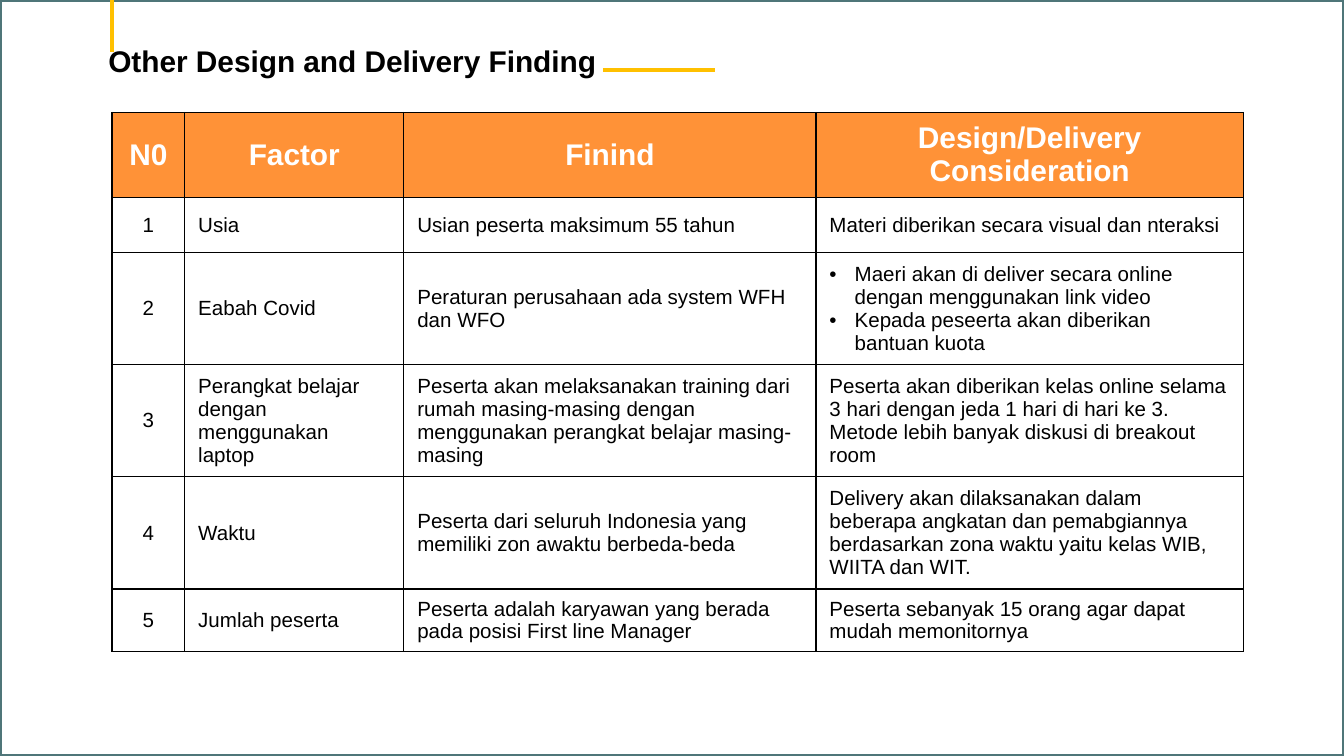
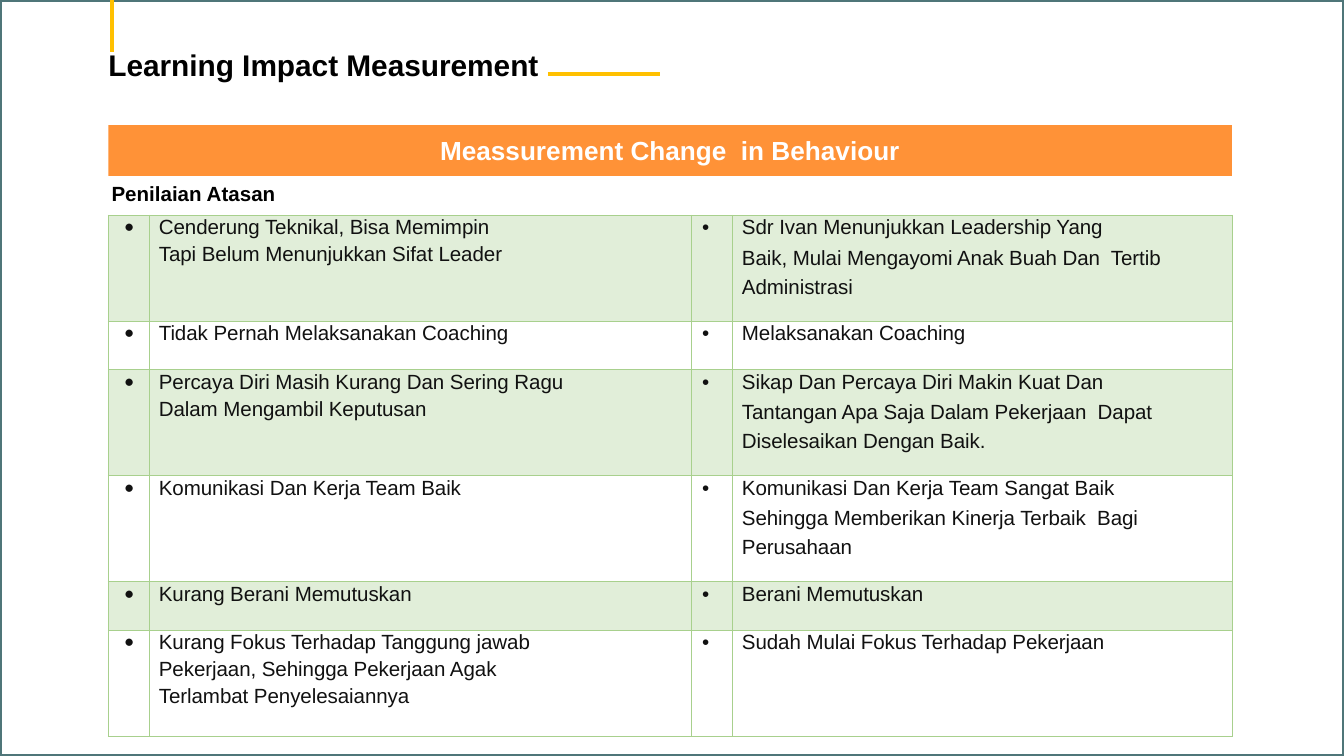
from pptx import Presentation
from pptx.dml.color import RGBColor
from pptx.enum.shapes import MSO_CONNECTOR, MSO_SHAPE
from pptx.enum.text import MSO_ANCHOR, MSO_AUTO_SIZE, PP_ALIGN
from pptx.oxml.ns import qn
from pptx.util import Pt
from lxml import etree

LINE, RECT = MSO_CONNECTOR.STRAIGHT, MSO_SHAPE.RECTANGLE
LEFT, CENTER = PP_ALIGN.LEFT, PP_ALIGN.CENTER
TOP, MIDDLE = MSO_ANCHOR.TOP, MSO_ANCHOR.MIDDLE
GROW = MSO_AUTO_SIZE.SHAPE_TO_FIT_TEXT

WIDE, HIGH = 720, 405
FONT = "Arial"
BLACK, WHITE, INK = "000000", "FFFFFF", "111111"
BACK, FRAME, GOLD, ORANGE = "6B9FA4", "4F7679", "FFC000", "FF9237"
MINT, LEAF = "E1EED9", "A8D08D"

HEADS = ["N0", "Factor", "Finind", "Design/Delivery Consideration"]
FACTORS = [
    ("Usia", "Usian peserta maksimum 55 tahun",
     ["Materi diberikan secara visual dan nteraksi"]),
    ("Eabah Covid", "Peraturan perusahaan ada system WFH dan WFO",
     ["Maeri akan di deliver secara online dengan menggunakan link video",
      "Kepada peseerta akan diberikan bantuan kuota"]),
    ("Perangkat belajar dengan menggunakan laptop",
     "Peserta akan melaksanakan training dari rumah masing-masing dengan "
     "menggunakan perangkat belajar masing-masing",
     ["Peserta akan diberikan kelas online selama 3 hari dengan jeda 1 hari "
      "di hari ke 3. Metode lebih banyak diskusi di breakout room"]),
    ("Waktu",
     "Peserta dari seluruh Indonesia yang memiliki zon awaktu berbeda-beda",
     ["Delivery akan dilaksanakan dalam beberapa angkatan dan pemabgiannya "
      "berdasarkan zona waktu yaitu kelas WIB, WIITA dan WIT."]),
    ("Jumlah peserta",
     "Peserta adalah karyawan yang berada pada posisi First line Manager",
     ["Peserta sebanyak 15 orang agar dapat mudah memonitornya"]),
]

# Second paragraph of a cell: space before, line spacing, right margin
NEXT, LOOSE, SHORT = (2.2, None, 0), (0.7, Pt(15.6), 0), (0, 1.17, 80)
CHANGES = [
    (56.8, ["Cenderung Teknikal, Bisa Memimpin",
            "Tapi Belum Menunjukkan Sifat Leader"], NEXT,
     ["Sdr Ivan Menunjukkan Leadership Yang",
      "Baik, Mulai Mengayomi Anak Buah Dan  Tertib Administrasi"]),
    (26, ["Tidak Pernah Melaksanakan Coaching"], NEXT,
     ["Melaksanakan Coaching"]),
    (56.8, ["Percaya Diri Masih Kurang Dan Sering Ragu",
            "Dalam Mengambil Keputusan"], NEXT,
     ["Sikap Dan Percaya Diri Makin Kuat Dan",
      "Tantangan Apa Saja Dalam Pekerjaan  Dapat Diselesaikan Dengan Baik."]),
    (56.8, ["Komunikasi Dan Kerja Team Baik"], NEXT,
     ["Komunikasi Dan Kerja Team Sangat Baik",
      "Sehingga Memberikan Kinerja Terbaik  Bagi Perusahaan"]),
    (26, ["Kurang Berani Memutuskan"], NEXT, ["Berani Memutuskan"]),
    (56.8, ["Kurang Fokus Terhadap Tanggung jawab",
            "Pekerjaan, Sehingga Pekerjaan Agak  Terlambat Penyelesaiannya"],
     SHORT, ["Sudah Mulai Fokus Terhadap Pekerjaan"]),
]


def paint(color, tone):
    color.rgb = RGBColor.from_string(tone)


def fill(part, tone):
    """Fill a shape or cell; no tone leaves it clear."""
    if tone:
        part.fill.solid()
        paint(part.fill.fore_color, tone)
    else:
        part.fill.background()


def style(para, size, tone, bold=False, align=LEFT, face=FONT):
    para.alignment = align
    font = para.font
    font.name, font.size, font.bold = face, Pt(size), bold
    paint(font.color, tone)


def write(frame, lines):
    """Put one paragraph per line into the frame and return them."""
    frame.text = lines[0]
    for line in lines[1:]:
        frame.add_paragraph().text = line
    return frame.paragraphs


def block(slide, box, tone, edge=None):
    shape = slide.shapes.add_shape(RECT, *map(Pt, box))
    shape.shadow.inherit = False
    fill(shape, tone)
    if edge:
        paint(shape.line.color, edge)
        shape.line.width = Pt(2)
    else:
        shape.line.fill.background()
    return shape


def rule(slide, *ends):
    line = slide.shapes.add_connector(LINE, *map(Pt, ends))
    paint(line.line.color, GOLD)
    line.line.width = Pt(2.25)
    etree.SubElement(line._element.spPr, qn("a:effectLst"))


def label(slide, box, text, size):
    area = slide.shapes.add_textbox(*map(Pt, box))
    frame = area.text_frame
    frame.word_wrap, frame.auto_size = True, GROW
    style(write(frame, [text])[0], size, BLACK, True)


def page(deck, title, top, width):
    """Add a framed slide whose title ends in a gold dash."""
    slide = deck.slides.add_slide(deck.slide_layouts[6])
    fill(slide.background, BACK)
    block(slide, (0, 0, WIDE, HIGH), WHITE, FRAME)
    rule(slide, 60, 0, 60, 28)
    label(slide, (51, top, width, 26.6), title, 16)
    dash = 51 + width - 4.5
    rule(slide, dash, top + 18, dash + 60, top + 18)
    return slide


def border(cell, tone, width):
    props = cell._tc.get_or_add_tcPr()
    for side in ("lnL", "lnR", "lnT", "lnB"):
        edge = etree.SubElement(props, qn("a:" + side), w=str(Pt(width)))
        paper = etree.SubElement(edge, qn("a:solidFill"))
        etree.SubElement(paper, qn("a:srgbClr"), val=tone)


def grid(slide, box, cols, rows, edge, width):
    """Add a plain table with borders on every cell."""
    frame = slide.shapes.add_table(len(rows), len(cols), *map(Pt, box))
    table = frame.table
    table.first_row = table.horz_banding = False
    for col, size in zip(table.columns, cols):
        col.width = Pt(size)
    for row, size in zip(table.rows, rows):
        row.height = Pt(size)
    for cell in table.iter_cells():
        border(cell, edge, width)
    frame.height = Pt(box[3])
    return table


def indent(para, left, first=0, right=0):
    props = para._p.get_or_add_pPr()
    for name, size in (("marL", left), ("indent", first), ("marR", right)):
        if size:
            props.set(name, str(Pt(size)))


def bullet(para):
    indent(para, 13.5, -13.5)
    props = para._p.get_or_add_pPr()
    etree.SubElement(props, qn("a:buFont"), typeface=FONT)
    etree.SubElement(props, qn("a:buChar"), char="•")


def findings(slide, box):
    cols = (39, 117.4, 220.8, 229)
    table = grid(slide, box, cols, [29.5] * (len(FACTORS) + 1), BLACK, 0.75)
    rows = [[[head] for head in HEADS]]
    for num, (factor, find, plan) in enumerate(FACTORS, 1):
        rows.append([[str(num)], [factor], [find], plan])
    for r, row in enumerate(rows):
        for c, lines in enumerate(row):
            cell = table.cell(r, c)
            cell.vertical_anchor = MIDDLE
            fill(cell, None if r else ORANGE)
            for para in write(cell.text_frame, lines):
                if len(lines) > 1:
                    bullet(para)
                if r:
                    style(para, 11, BLACK, align=LEFT if c else CENTER)
                else:
                    style(para, 16, WHITE, True, CENTER)


def dot(cell, left, align, face):
    para = write(cell.text_frame, ["•"])[0]
    indent(para, left)
    para.line_spacing = Pt(12.8)
    style(para, 11, INK, align=align, face=face)


def note(cell, lines, follow):
    """Write a first line and, below it, a paragraph in the follow style."""
    for n, para in enumerate(write(cell.text_frame, lines)):
        before, space, right = follow if n else (0, Pt(12.8), 0)
        indent(para, 5.3, right=right)
        para.space_before = Pt(before)
        if space:
            para.line_spacing = space
        style(para, 11, INK)
        para.runs[0]._r.get_or_add_rPr().set("spc", "-5")


def changes(slide, box):
    cols = (21.8, 290.6, 21.8, 267.8)
    table = grid(slide, box, cols, [row[0] for row in CHANGES], LEAF, 0.5)
    for cell in table.iter_cells():
        cell.margin_left = cell.margin_right = 0
        cell.margin_top = cell.margin_bottom = 0
        cell.vertical_anchor = TOP
    for r, (_, past, follow, now) in enumerate(CHANGES):
        cells = table.rows[r].cells
        for cell in cells:
            fill(cell, None if r % 2 else MINT)
        dot(cells[0], 0.7, CENTER, "Calibri")
        note(cells[1], past, follow)
        dot(cells[2], 5.8, LEFT, FONT)
        note(cells[3], now, LOOSE)


def banner(slide, box, text):
    frame = block(slide, box, ORANGE).text_frame
    frame.vertical_anchor = MIDDLE
    style(write(frame, [text])[0], 14, WHITE, True, CENTER)


def main():
    deck = Presentation()
    deck.slide_width, deck.slide_height = Pt(WIDE), Pt(HIGH)
    slide = page(deck, "Other Design and Delivery Finding", 19.5, 276.5)
    findings(slide, (60, 60.2, 606.2, 288.7))
    slide = page(deck, "Learning Impact Measurement", 21.7, 247)
    banner(slide, (58, 67, 602, 27.2), "Meassurement Change  in Behaviour")
    changes(slide, (58, 115.3, 602, 279.2))
    label(slide, (52.7, 93.6, 112.3, 20.9), "Penilaian Atasan", 11)
    deck.save("out.pptx")


if __name__ == "__main__":
    main()
